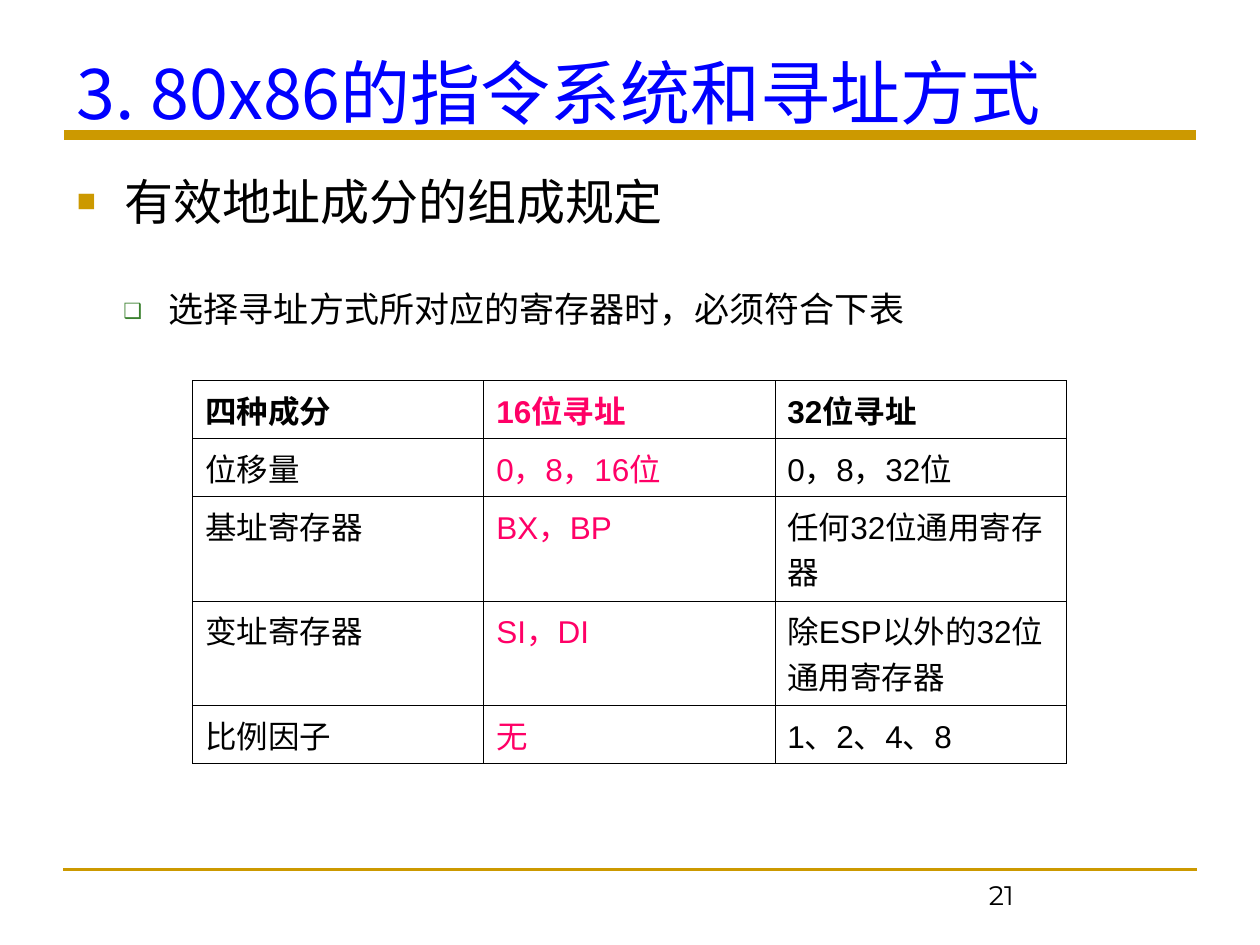
from lxml import etree
from pptx import Presentation
from pptx.dml.color import RGBColor
from pptx.enum.shapes import MSO_CONNECTOR
from pptx.enum.text import MSO_ANCHOR, MSO_AUTO_SIZE, PP_ALIGN
from pptx.oxml.ns import qn
from pptx.util import Inches, Pt

STRAIGHT = MSO_CONNECTOR.STRAIGHT
TOP = MSO_ANCHOR.TOP
LEFT = PP_ALIGN.LEFT
NO_FIT = MSO_AUTO_SIZE.NONE

COLORS = {
    "gold": "CC9900",
    "title": "0000FF",
    "text": "000000",
    "green": "3B812F",
    "pink": "FF0066",
}
CJK = "Noto Sans CJK SC"
LATIN = "Arial"

POINTS = [
    ("有效地址成分的组成规定", 0, 28, 0, 0.38, -0.38, "■", LATIN, "gold", 65),
    ("选择寻址方式所对应的寄存器时，必须符合下表", 1, 20, 33, 0.73, -0.36, "❑", CJK, "green", 60),
]
ADDRESSING = [
    ("四种成分", "16位寻址", "32位寻址"),
    ("位移量", "0，8，16位", "0，8，32位"),
    ("基址寄存器", "BX，BP", "任何32位通用寄存器"),
    ("变址寄存器", "SI，DI", "除ESP以外的32位通用寄存器"),
    ("比例因子", "无", "1、2、4、8"),
]
COLUMN_COLORS = ("text", "pink", "text")
ONE_LINE, TWO_LINES = 0.46, 0.83
ROW_HEIGHTS = (ONE_LINE, ONE_LINE, TWO_LINES, TWO_LINES, ONE_LINE)


def rgb(color):
    return RGBColor.from_string(COLORS[color])


def add_child(parent, tag, **attributes):
    return etree.SubElement(parent, qn(tag), attributes)


def style_runs(paragraph, size, color, font=CJK, bold=False):
    for run in paragraph.runs:
        run.font.size = Pt(size)
        run.font.name = font
        run.font.bold = bold
        run.font.color.rgb = rgb(color)
        add_child(run.font._element, "a:ea", typeface=CJK)


def place(holder, box):
    holder.left, holder.top, holder.width, holder.height = map(Inches, box)
    frame = holder.text_frame
    frame.word_wrap = True
    frame.auto_size = NO_FIT
    frame.vertical_anchor = TOP
    return frame


def add_rule(slide, left, right, y, width):
    rule = slide.shapes.add_connector(
        STRAIGHT, Inches(left), Inches(y), Inches(right), Inches(y))
    rule.line.color.rgb = rgb("gold")
    rule.line.width = Pt(width)
    add_child(rule._element.spPr, "a:effectLst")


def fill_title(slide, box):
    frame = place(slide.shapes.title, box)
    frame.text = "3. 80x86的指令系统和寻址方式"
    heading = frame.paragraphs[0]
    heading.alignment = LEFT
    style_runs(heading, 40, "title")


def set_bullet(paragraph, symbol, font, color, percent, margin, indent):
    properties = paragraph._p.get_or_add_pPr()
    properties.set("marL", str(Inches(margin)))
    properties.set("indent", str(Inches(indent)))
    bullet_color = add_child(properties, "a:buClr")
    add_child(bullet_color, "a:srgbClr", val=COLORS[color])
    add_child(properties, "a:buSzPct", val=str(percent * 1000))
    add_child(properties, "a:buFont", typeface=font)
    add_child(properties, "a:buChar", char=symbol)


def fill_points(slide, box):
    frame = place(slide.placeholders[1], box)
    frame.text = "\n".join(point[0] for point in POINTS)
    for paragraph, point in zip(frame.paragraphs, POINTS):
        _, level, size, gap, margin, indent, symbol, font, color, percent = point
        set_bullet(paragraph, symbol, font, color, percent, margin, indent)
        paragraph.level = level
        paragraph.space_before = Pt(gap)
        style_runs(paragraph, size, "text")


def add_borders(cell):
    properties = cell._tc.get_or_add_tcPr()
    for side in ("a:lnL", "a:lnR", "a:lnT", "a:lnB"):
        border = add_child(properties, side, w=str(Pt(0.45)))
        fill = add_child(border, "a:solidFill")
        add_child(fill, "a:srgbClr", val=COLORS["text"])


def add_addressing_table(slide, box):
    table = slide.shapes.add_table(
        len(ADDRESSING), len(COLUMN_COLORS), *map(Inches, box)).table
    table.first_row = table.horz_banding = False
    for column in table.columns:
        column.width = Inches(box[2] / len(COLUMN_COLORS))
    for row_index, (entries, height) in enumerate(zip(ADDRESSING, ROW_HEIGHTS)):
        table.rows[row_index].height = Inches(height)
        for column_index, (entry, color) in enumerate(zip(entries, COLUMN_COLORS)):
            cell = table.cell(row_index, column_index)
            cell.text = entry
            style_runs(cell.text_frame.paragraphs[0], 18, color, LATIN, row_index == 0)
            add_borders(cell)
            cell.fill.background()


def add_page_number(slide, box):
    frame = slide.shapes.add_textbox(*map(Inches, box)).text_frame
    frame.word_wrap = True
    frame.text = "21"
    number = frame.paragraphs[0]
    number.line_spacing = 0.9
    style_runs(number, 15.3, "text", "Montserrat")


def main():
    deck = Presentation()
    deck.slide_width, deck.slide_height = Inches(10), Inches(7.5)
    slide = deck.slides.add_slide(deck.slide_layouts[1])
    add_rule(slide, 0.5, 9.5, 6.9, 1.5)
    add_rule(slide, 0.51, 9.49, 1.07, 6)
    fill_title(slide, (0.51, 0.34, 9, 0.63))
    fill_points(slide, (0.51, 1.31, 8.98, 5.51))
    add_page_number(slide, (7.75, 6.95, 2.25, 0.4))
    add_addressing_table(slide, (1.53, 3.02, 6.93, sum(ROW_HEIGHTS)))
    deck.save("out.pptx")


if __name__ == "__main__":
    main()
